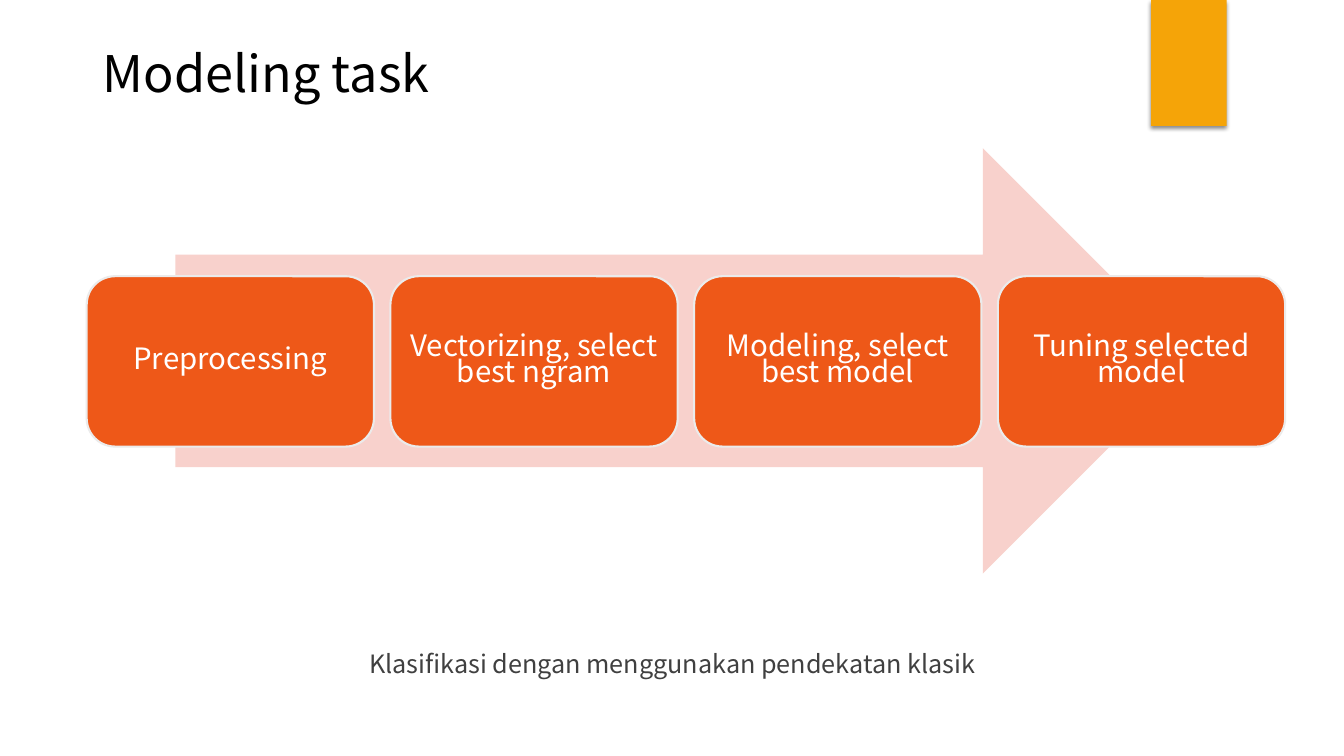
"""Build the "Modeling task" slide: four process steps over a broad arrow."""
from dataclasses import dataclass

import lxml.etree
import pptx
import pptx.dml.color
import pptx.enum.shapes
import pptx.enum.text
import pptx.oxml.ns
import pptx.shapes.autoshape
import pptx.slide
import pptx.text.text
import pptx.util

COLUMNS, ROWS = 160, 90
CELL = pptx.util.Inches(1 / 12)
STEP_PITCH = 36.16

Align = pptx.enum.text.PP_ALIGN
Preset = pptx.enum.shapes.MSO_SHAPE


@dataclass(frozen=True)
class Theme:
    font: str = "Noto Sans CJK JP"
    tab: str = "F5A408"
    arrow: str = "F8D1CC"
    step: str = "EE5818"
    outline: str = "EBEBEB"
    title: str = "000000"
    label: str = "FFFFFF"
    caption: str = "404040"
    title_size: int = 36
    label_size: int = 21
    caption_size: int = 18
    outline_width: float = 1.5


@dataclass(frozen=True)
class Area:
    column: float
    row: float
    columns: float
    rows: float

    def lengths(self) -> list[int]:
        return [round(n * CELL) for n in (self.column, self.row, self.columns, self.rows)]


@dataclass(frozen=True)
class Words:
    text: str
    size: int
    color: str
    align: Align = Align.CENTER
    line_spacing: float = 1.0
    before: float = 0
    after: float = 0


THEME = Theme()
STEPS = (
    "Preprocessing",
    "Vectorizing, select best ngram",
    "Modeling, select best model",
    "Tuning selected model",
)


def rgb(color: str) -> pptx.dml.color.RGBColor:
    return pptx.dml.color.RGBColor.from_string(color)


def write(frame: pptx.text.text.TextFrame, words: Words) -> None:
    frame.word_wrap = True
    frame.vertical_anchor = pptx.enum.text.MSO_ANCHOR.MIDDLE
    para = frame.paragraphs[0]
    para.text = words.text
    para.alignment = words.align
    para.line_spacing = words.line_spacing
    para.space_before = pptx.util.Pt(words.before)
    para.space_after = pptx.util.Pt(words.after)
    para.font.name = THEME.font
    para.font.size = pptx.util.Pt(words.size)
    para.font.color.rgb = rgb(words.color)


def add_text(page: pptx.slide.Slide, area: Area, words: Words) -> None:
    write(page.shapes.add_textbox(*area.lengths()).text_frame, words)


def add_block(
    page: pptx.slide.Slide, preset: Preset, area: Area, color: str
) -> pptx.shapes.autoshape.Shape:
    block = page.shapes.add_shape(preset, *area.lengths())
    block.shadow.inherit = False
    block.fill.solid()
    block.fill.fore_color.rgb = rgb(color)
    block.line.fill.background()
    return block


def add_tab(page: pptx.slide.Slide) -> None:
    tab = add_block(page, Preset.RECTANGLE, Area(137.04, 0, 9, 15), THEME.tab)
    qn = pptx.oxml.ns.qn
    effects = tab.element.spPr.find(qn("a:effectLst"))
    shadow = lxml.etree.SubElement(
        effects,
        qn("a:outerShdw"),
        blurRad=str(pptx.util.Pt(3)),
        dist=str(pptx.util.Pt(2)),
        dir="5400000",
        rotWithShape="0",
    )
    color = lxml.etree.SubElement(shadow, qn("a:srgbClr"), val="000000")
    lxml.etree.SubElement(color, qn("a:alpha"), val="45000")


def add_step(page: pptx.slide.Slide, index: int, label: str) -> None:
    area = Area(10.32 + index * STEP_PITCH, 32.88, 34.2, 20.28)
    step = add_block(page, Preset.ROUNDED_RECTANGLE, area, THEME.step)
    step.line.color.rgb = rgb(THEME.outline)
    step.line.width = pptx.util.Pt(THEME.outline_width)
    frame = step.text_frame
    frame.margin_left = frame.margin_right = pptx.util.Inches(0.09)
    frame.margin_top = frame.margin_bottom = pptx.util.Inches(0.09)
    write(frame, Words(label, THEME.label_size, THEME.label, line_spacing=0.76))


def main() -> None:
    deck = pptx.Presentation()
    deck.slide_width, deck.slide_height = COLUMNS * CELL, ROWS * CELL
    page = deck.slides.add_slide(deck.slide_layouts[6])
    add_tab(page)
    add_text(
        page,
        Area(11.04, 3.84, 114.96, 9.6),
        Words("Modeling task", THEME.title_size, THEME.title, Align.LEFT),
    )
    add_block(page, Preset.RIGHT_ARROW, Area(20.88, 17.64, 121.44, 50.64), THEME.arrow)
    for index, label in enumerate(STEPS):
        add_step(page, index, label)
    add_text(
        page,
        Area(20.76, 72.6, 118.56, 11.04),
        Words(
            "Klasifikasi dengan menggunakan pendekatan klasik",
            THEME.caption_size,
            THEME.caption,
            line_spacing=1.5,
            before=10,
        ),
    )
    deck.save("out.pptx")


if __name__ == "__main__":
    main()
